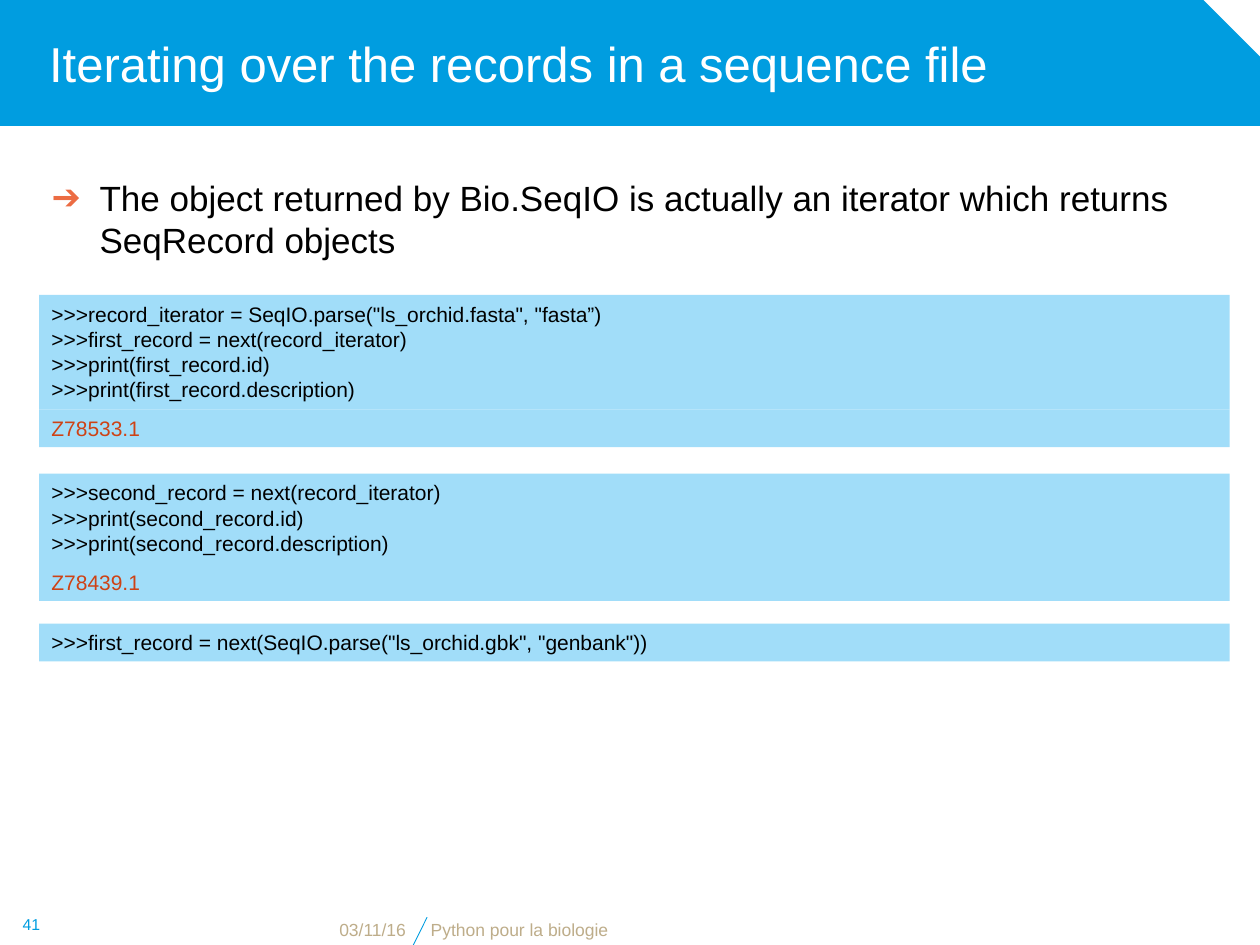
from dataclasses import dataclass

from lxml import etree
from pptx import Presentation
from pptx.dml.color import RGBColor
from pptx.enum.shapes import MSO_CONNECTOR, MSO_SHAPE
from pptx.enum.text import MSO_ANCHOR, MSO_AUTO_SIZE, PP_ALIGN
from pptx.oxml.ns import qn
from pptx.util import Inches, Pt

RECTANGLE, SNIPPED = MSO_SHAPE.RECTANGLE, MSO_SHAPE.SNIP_1_RECTANGLE
STRAIGHT = MSO_CONNECTOR.STRAIGHT
TOP, MIDDLE, BOTTOM = MSO_ANCHOR.TOP, MSO_ANCHOR.MIDDLE, MSO_ANCHOR.BOTTOM
LEFT, CENTER, RIGHT = PP_ALIGN.LEFT, PP_ALIGN.CENTER, PP_ALIGN.RIGHT
NO_FIT = MSO_AUTO_SIZE.NONE


@dataclass(frozen=True)
class Theme:
    font: str = "Arial"
    blue: str = "009DE0"
    pale_blue: str = "A1DDF9"
    white: str = "FFFFFF"
    black: str = "000000"
    orange: str = "EC6C43"
    red: str = "CE4215"
    sand: str = "BEAD8A"
    title_size: int = 28
    body_size: int = 20
    code_size: int = 12
    footer_size: int = 10
    number_size: int = 9


class SlideBuilder:
    """Holds the theme and the slide being built."""

    def __init__(self, page, theme):
        self.page = page
        self.theme = theme

    def place(self, box, at):
        for name, value in zip(("left", "top", "width", "height"), at):
            setattr(box, name, Inches(value))

    def fill_text(self, box, lines, size, color, align=LEFT, anchor=TOP, left_inset=0.1):
        frame = box.text_frame
        frame_format = {
            "word_wrap": True, "auto_size": NO_FIT, "vertical_anchor": anchor,
            "margin_left": Inches(left_inset), "margin_right": Inches(0.1),
            "margin_top": Inches(0.05), "margin_bottom": Inches(0.05),
        }
        for name, value in frame_format.items():
            setattr(frame, name, value)
        for index, line in enumerate(lines):
            para = frame.add_paragraph() if index else frame.paragraphs[0]
            para.alignment = align
            para.space_before = Pt(0)
            span = para.add_run()
            span.text = line
            span_format = {"name": self.theme.font, "size": Pt(size), "bold": False}
            for name, value in span_format.items():
                setattr(span.font, name, value)
            span.font.color.rgb = RGBColor.from_string(color)

    def shape(self, kind, at, fill):
        box = self.page.shapes.add_shape(kind, *map(Inches, at))
        box.shadow.inherit = False
        box.fill.solid()
        box.fill.fore_color.rgb = RGBColor.from_string(fill)
        box.line.fill.background()
        return box

    def banner(self, at, snip):
        box = self.shape(SNIPPED, at, self.theme.blue)
        box.adjustments[0] = snip
        # Keep the banner behind the title
        self.page.shapes.title._element.addprevious(box._element)

    def title(self, text, at):
        box = self.page.shapes.title
        self.place(box, at)
        self.fill_text(box, [text], self.theme.title_size, self.theme.white,
                       anchor=MIDDLE, left_inset=0.39)

    def bullet(self, text, at):
        box = self.page.placeholders[1]
        self.place(box, at)
        self.fill_text(box, [text], self.theme.body_size, self.theme.black)
        properties = box.text_frame.paragraphs[0]._p.get_or_add_pPr()
        properties.set("marL", str(Inches(0.38)))
        properties.set("indent", str(-Inches(0.38)))
        color = etree.SubElement(properties, qn("a:buClr"))
        etree.SubElement(color, qn("a:srgbClr"), val=self.theme.orange)
        etree.SubElement(properties, qn("a:buFont"), typeface=self.theme.font)
        etree.SubElement(properties, qn("a:buChar"), char="➔")

    def code(self, lines, top, height, color):
        box = self.shape(RECTANGLE, (0.31, top, 9.45, height), self.theme.pale_blue)
        self.fill_text(box, lines, self.theme.code_size, color)

    def label(self, text, at, size, color, align, anchor):
        box = self.page.shapes.add_textbox(*map(Inches, at))
        self.fill_text(box, [text], size, color, align, anchor)

    def line(self, start, end):
        stroke = self.page.shapes.add_connector(STRAIGHT, *map(Inches, start + end))
        stroke.line.color.rgb = RGBColor.from_string(self.theme.blue)
        stroke.line.width = Pt(0.5)
        etree.SubElement(stroke._element.spPr, qn("a:effectLst"))


def main():
    deck = Presentation()
    deck.slide_width, deck.slide_height = Inches(10), Inches(7.5)
    theme = Theme()
    slide = SlideBuilder(deck.slides.add_slide(deck.slide_layouts[1]), theme)

    # Heading and main point
    slide.banner((0, 0, 10.01, 1), 0.46)
    slide.title("Iterating over the records in a sequence file", (0, 0, 9.5, 1))
    slide.bullet("The object returned by Bio.SeqIO is actually an iterator which "
                 "returns SeqRecord objects", (0.31, 1.35, 9.45, 0.76))

    # Code blocks, each followed by its output
    examples = [
        (2.34, [
            '>>>record_iterator = SeqIO.parse("ls_orchid.fasta", "fasta”)',
            ">>>first_record = next(record_iterator)",
            ">>>print(first_record.id)",
            ">>>print(first_record.description)",
        ], "Z78533.1"),
        (3.76, [
            ">>>second_record = next(record_iterator)",
            ">>>print(second_record.id)",
            ">>>print(second_record.description)",
        ], "Z78439.1"),
        (4.95, ['>>>first_record = next(SeqIO.parse("ls_orchid.gbk", "genbank"))'], None),
    ]
    for top, lines, output in examples:
        height = 0.1 + 0.2 * len(lines)
        if len(lines) > 1:
            height += 0.01
        slide.code(lines, top, height, theme.black)
        if output:
            slide.code([output], top + height, 0.3, theme.red)

    # Footer
    slide.label("03/11/16", (0.99, 7.28, 2.33, 0.23), theme.footer_size,
                theme.sand, RIGHT, BOTTOM)
    slide.line((3.28, 7.5), (3.39, 7.28))
    slide.label("Python pour la biologie", (3.32, 7.28, 5.75, 0.23),
                theme.footer_size, theme.sand, LEFT, BOTTOM)
    slide.label("41", (0, 7.17, 0.5, 0.33), theme.number_size,
                theme.blue, CENTER, MIDDLE)

    deck.save("out.pptx")


if __name__ == "__main__":
    main()
